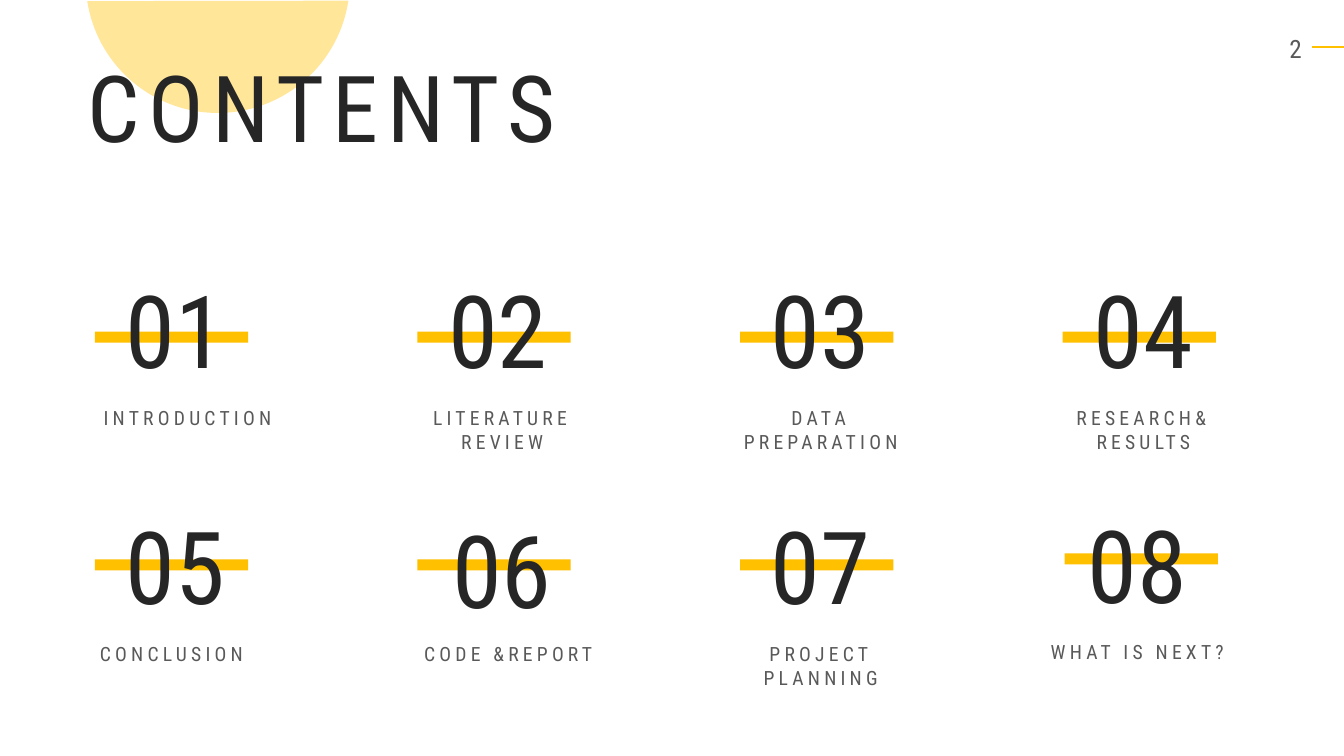
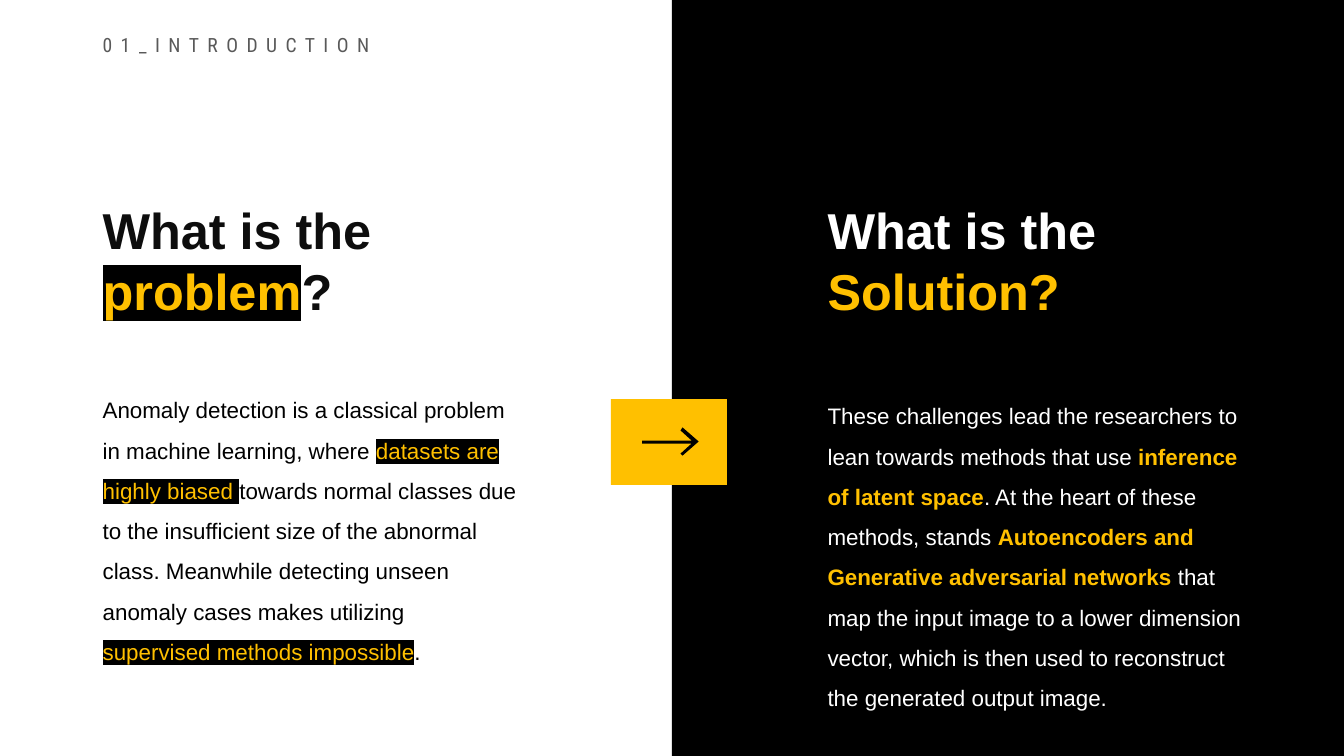
"""Build the contents slide and the introduction slide."""
from dataclasses import dataclass

from lxml import etree
from pptx import Presentation
from pptx import util as u
from pptx.dml.color import RGBColor
from pptx.enum import shapes, text
from pptx.oxml import ns

WIDTH, HEIGHT = 13.33, 7.5
GOLD, PALE_GOLD = "FFC000", "FFE699"
BLACK, INK, CHARCOAL, GREY, WHITE = "000000", "0D0D0D", "262626", "595959", "FFFFFF"
CONDENSED = "Roboto Condensed"

TITLE = dict(name=CONDENSED, size=66, color=CHARCOAL, tracking=6)
NUMBER = dict(name=CONDENSED, size=72, color=CHARCOAL)
LABEL = dict(name=CONDENSED, size=14, color=GREY, tracking=3)
PAGE = dict(LABEL, size=18)
SECTION = dict(LABEL, tracking=6)
HEADING = dict(name="Arial", size=36, bold=True)
BODY = dict(name="Arial", size=16)
MARKED = dict(color=GOLD, highlight=BLACK)
STRONG = dict(color=GOLD, bold=True)


@dataclass
class Topic:
    """One contents entry, with its offsets from the regular grid."""
    label: str
    label_center: float = 0.8
    number_shift: tuple = (0, 0)
    label_drop: float = 0
    bar_shift: tuple = (0, 0)


TOPICS = [
    Topic("INTRODUCTION", 0.92),
    Topic("LITERATURE REVIEW", 0.84),
    Topic("DATA PREPARATION"),
    Topic("RESEARCH& RESULTS"),
    Topic("CONCLUSION", 0.76),
    Topic("CODE &REPORT", 0.9, (0.04, 0.04)),
    Topic("PROJECT PLANNING"),
    Topic("WHAT IS NEXT?", 0.74, (-0.06, -0.01), -0.02, (0.02, -0.06)),
]

PROBLEM_HEADING = [("What is the ", {}), ("problem", MARKED), ("?", {})]
PROBLEM_BODY = [
    ("Anomaly detection is a classical problem in machine learning, where ", {}),
    ("datasets are highly biased ", MARKED),
    ("towards normal classes due to the insufficient size of the abnormal class. "
     "Meanwhile detecting unseen anomaly cases makes utilizing ", {}),
    ("supervised methods impossible", MARKED),
    (".", {}),
]
SOLUTION_HEADING = [("What is the ", {}), ("Solution?", STRONG)]
SOLUTION_BODY = [
    ("These challenges lead the researchers to lean towards methods that use ", {}),
    ("inference of latent space", STRONG),
    (". At the heart of these methods, stands ", {}),
    ("Autoencoders and Generative adversarial networks ", STRONG),
    ("that map the input image to a lower dimension vector, which is then used to "
     "reconstruct the generated output image.", {}),
]
ARROW = [(40, 0), (38, 3), (49, 13), (0, 13), (0, 16), (49, 16), (38, 26), (40, 28), (56, 14)]


def rgb(value):
    """Turn a hex string into a colour."""
    return RGBColor.from_string(value)


def inches(*values):
    """Turn numbers into lengths."""
    return [u.Inches(value) for value in values]


def apply(target, formats):
    """Set each attribute in a dict of format values."""
    for name, value in formats.items():
        setattr(target, name, value)


def paint(shape, color):
    """Give a shape a plain fill without line or shadow."""
    shape.shadow.inherit = False
    shape.fill.solid()
    shape.fill.fore_color.rgb = rgb(color)
    shape.line.fill.background()


def add_block(slide, kind, box, color):
    """Add a plain filled preset shape."""
    block = slide.shapes.add_shape(kind, *inches(*box))
    paint(block, color)
    return block


def style_run(run, name, size, color, bold=False, tracking=0, highlight=None):
    """Format one run of text."""
    apply(run.font, dict(name=name, size=u.Pt(size), bold=bold))
    run.font.color.rgb = rgb(color)
    properties = run._r.get_or_add_rPr()
    if tracking:
        properties.set("spc", str(tracking * 100))
    if highlight:
        marker = etree.Element(ns.qn("a:highlight"))
        etree.SubElement(marker, ns.qn("a:srgbClr"), val=highlight)
        properties.find(ns.qn("a:solidFill")).addnext(marker)


def add_text(slide, box, content, style, frame=None, **paragraph_formats):
    """Add a wrapping text box from a string or a list of styled pieces."""
    text_frame = slide.shapes.add_textbox(*inches(*box)).text_frame
    apply(text_frame, dict(word_wrap=True, **(frame or {})))
    paragraph = text_frame.paragraphs[0]
    apply(paragraph, paragraph_formats)
    pieces = [(content, {})] if isinstance(content, str) else content
    for words, changes in pieces:
        run = paragraph.add_run()
        run.text = words
        style_run(run, **{**style, **changes})


def add_page_mark(slide, number):
    """Add the page number and its line at the right edge."""
    add_text(slide, (12.17, 0.28, 0.84, 0.35), number, PAGE, alignment=text.PP_ALIGN.RIGHT)
    rule = slide.shapes.add_connector(
        shapes.MSO_CONNECTOR.STRAIGHT, *inches(WIDTH, 0.47, 13.01, 0.47))
    rule.line.color.rgb = rgb(GOLD)
    rule.line.width = u.Pt(1.5)
    etree.SubElement(rule._element.spPr, ns.qn("a:effectLst"))


def add_title(slide, left, top):
    """Add the slide title over its half disc."""
    disc = add_block(slide, shapes.MSO_SHAPE.CHORD,
                     (left + 0.08, top - 1.95, 2.62, 2.62), PALE_GOLD)
    disc.rotation = 270
    disc.adjustments[0], disc.adjustments[1] = 59.17, 156.72
    add_text(slide, (left, top, 5.76, 1.21), "CONTENTS", TITLE)


def add_topic(slide, left, top, number, topic, bar_drop):
    """Add one numbered topic with its bar and label."""
    centered = dict(alignment=text.PP_ALIGN.CENTER)
    bar_x, bar_y = topic.bar_shift
    number_x, number_y = topic.number_shift
    add_block(slide, shapes.MSO_SHAPE.RECTANGLE,
              (left + bar_x, top + bar_drop + bar_y, 1.52, 0.11), GOLD)
    add_text(slide, (left + 0.1 + number_x, top + number_y, 1.4, 1.31),
             f"{number:02}", NUMBER, **centered)
    label_width = 2.39
    add_text(slide, (left + topic.label_center - label_width / 2,
                     top + 1.37 + topic.label_drop, label_width, 0.34),
             topic.label, LABEL, **centered)


def build_contents(slide):
    """Lay the topics out in two rows of four."""
    add_page_mark(slide, "2")
    add_title(slide, 0.77, 0.45)
    for index, topic in enumerate(TOPICS):
        row, column = divmod(index, 4)
        add_topic(slide, 0.94 + 3.2 * column, 2.61 + 2.34 * row,
                  index + 1, topic, (0.68, 0.6)[row])


def add_column(slide, left, heading, heading_color, body, body_color, body_box):
    """Add a heading with its body text below."""
    add_text(slide, (left, 1.93, 4.1, 1.31), heading, dict(HEADING, color=heading_color))
    add_text(slide, (left, *body_box), body, dict(BODY, color=body_color), line_spacing=1.5)


def add_arrow_tile(slide, left, top):
    """Add the tile with an arrow that joins both halves."""
    add_block(slide, shapes.MSO_SHAPE.RECTANGLE, (left, top, 1.15, 0.85), GOLD)
    outline = slide.shapes.build_freeform(*ARROW[0], scale=u.Inches(0.01))
    outline.add_line_segments(ARROW[1:], close=True)
    paint(outline.convert_to_shape(*inches(left + 0.31, top + 0.28)), BLACK)


def build_introduction(slide):
    """Set the problem beside the solution."""
    half = WIDTH / 2
    add_block(slide, shapes.MSO_SHAPE.RECTANGLE, (half, 0, half, HEIGHT), BLACK)
    add_text(slide, (0.92, 0.26, 3.33, 0.4), "01_INTRODUCTION", SECTION,
             dict(vertical_anchor=text.MSO_ANCHOR.MIDDLE), line_spacing=0.9)
    add_column(slide, 0.92, PROBLEM_HEADING, INK, PROBLEM_BODY, BLACK, (3.75, 4.3, 2.88))
    add_column(slide, 8.11, SOLUTION_HEADING, WHITE, SOLUTION_BODY, WHITE, (3.81, 4.4, 3.28))
    add_arrow_tile(slide, 6.06, 3.96)


def main():
    """Build and save the presentation."""
    deck = Presentation()
    apply(deck, dict(slide_width=u.Inches(WIDTH), slide_height=u.Inches(HEIGHT)))
    for build in (build_contents, build_introduction):
        build(deck.slides.add_slide(deck.slide_layouts[6]))
    deck.save("out.pptx")


if __name__ == "__main__":
    main()
